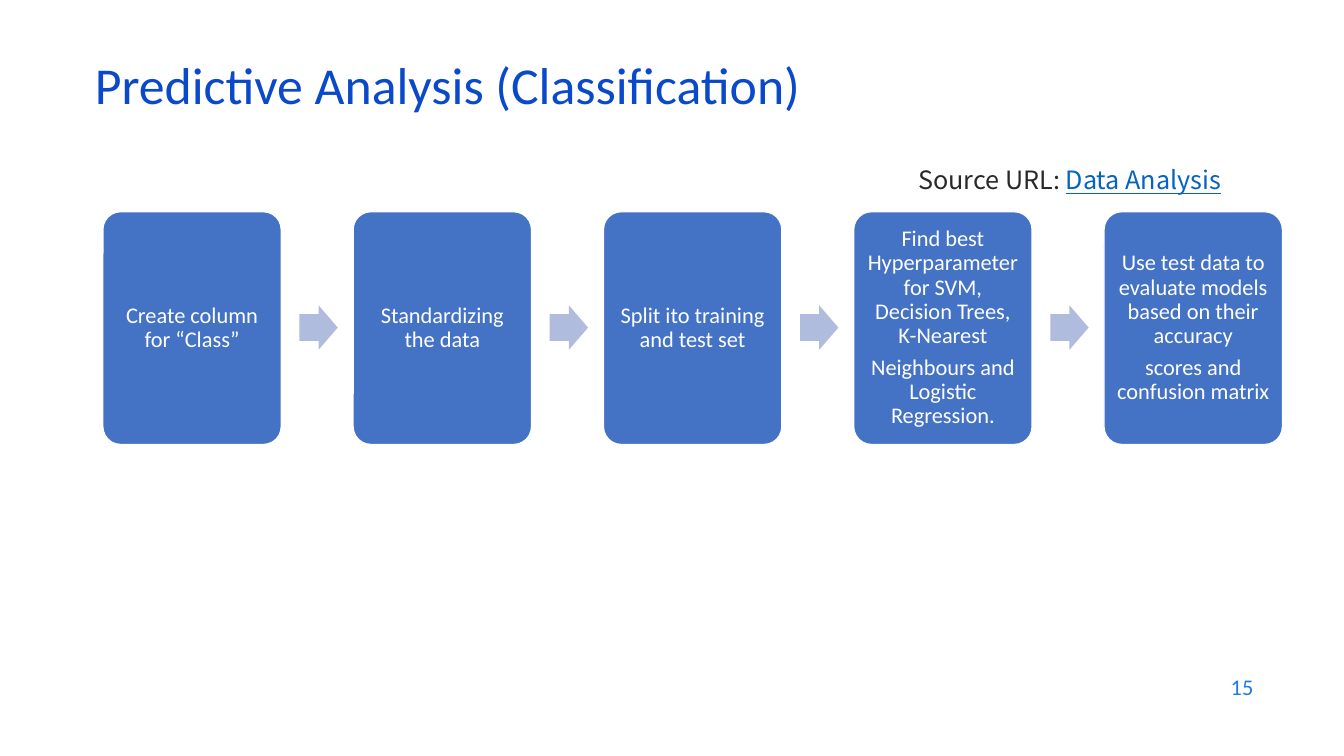
from pptx import Presentation
from pptx.dml.color import RGBColor
from pptx.enum import shapes, text
from pptx.util import Inches, Pt

STEPS = [
    ["Create column for “Class”"],
    ["Standardizing the data"],
    ["Split ito training and test set"],
    ["Find best Hyperparameter for SVM, Decision Trees, K-Nearest",
     "Neighbours and Logistic Regression."],
    ["Use test data to evaluate models based on their accuracy",
     "scores and confusion matrix"],
]
FIRST_LEFT, STEP_PITCH = 1.02, 2.4825


def color(hex_string):
    return RGBColor.from_string(hex_string)


def place(shape, left, top, width, height):
    shape.left, shape.top = Inches(left), Inches(top)
    shape.width, shape.height = Inches(width), Inches(height)


def style_font(font, size, hex_string, name="Calibri"):
    font.name, font.size = name, Pt(size)
    font.color.rgb = color(hex_string)


def add_title(slide, words):
    title = slide.shapes.title
    place(title, 0.84, 0.59, 11.5, 0.6)
    frame = title.text_frame
    frame.text = words
    frame.vertical_anchor = text.MSO_ANCHOR.MIDDLE
    frame.auto_size = text.MSO_AUTO_SIZE.NONE
    paragraph = frame.paragraphs[0]
    paragraph.alignment = text.PP_ALIGN.LEFT
    paragraph.line_spacing = 0.8
    style_font(paragraph.font, 37, "0B49CB")


def add_text_box(slide, left, top, width, height):
    box = slide.shapes.add_textbox(Inches(left), Inches(top),
                                   Inches(width), Inches(height))
    box.text_frame.word_wrap = True
    return box.text_frame


def add_block(slide, kind, bounds, fill, adjustments):
    shape = slide.shapes.add_shape(kind, *map(Inches, bounds))
    shape.shadow.inherit = False
    shape.fill.solid()
    shape.fill.fore_color.rgb = color(fill)
    shape.line.fill.background()
    for index, value in enumerate(adjustments):
        shape.adjustments[index] = value
    return shape


def add_step(slide, left, lines):
    card = add_block(slide, shapes.MSO_SHAPE.ROUNDED_RECTANGLE,
                     (left, 2.1, 1.77, 2.31), "4472C4", [0.1])
    card.line.color.rgb = color("FFFFFF")
    card.line.width = Pt(1)
    frame = card.text_frame
    frame.word_wrap = True
    frame.vertical_anchor = text.MSO_ANCHOR.MIDDLE
    frame.margin_left = frame.margin_right = Inches(0.07)
    frame.margin_top = frame.margin_bottom = Inches(0.07)
    frame.text = "\n".join(lines)
    for paragraph in frame.paragraphs:
        paragraph.alignment = text.PP_ALIGN.CENTER
        paragraph.line_spacing = 0.9
        paragraph.space_after = Pt(5.6)
        style_font(paragraph.font, 16, "FFFFFF")


def add_process(slide):
    for index, lines in enumerate(STEPS):
        left = FIRST_LEFT + index * STEP_PITCH
        add_step(slide, left, lines)
        if index < len(STEPS) - 1:
            add_block(slide, shapes.MSO_SHAPE.RIGHT_ARROW,
                      (left + 1.95, 3.03, 0.38, 0.44), "B0BCDE", [0.6, 0.5])


def add_source_line(slide):
    paragraph = add_text_box(slide, 9.01, 1.58, 3.3, 0.4).paragraphs[0]
    for words, hex_string in (("Source URL: ", "292929"),
                              ("Data Analysis", "0563C1")):
        run = paragraph.add_run()
        run.text = words
        style_font(run.font, 18, hex_string, "Noto Sans CJK TC")
    run.font.underline = True


def add_page_number(slide, number):
    frame = add_text_box(slide, 9.53, 6.59, 3, 0.44)
    frame.text = number
    frame.vertical_anchor = text.MSO_ANCHOR.MIDDLE
    paragraph = frame.paragraphs[0]
    paragraph.alignment = text.PP_ALIGN.RIGHT
    style_font(paragraph.font, 16, "1C7DDB")


def main():
    presentation = Presentation()
    presentation.slide_width = Inches(13.33)
    presentation.slide_height = Inches(7.5)
    # Title Only layout
    slide = presentation.slides.add_slide(presentation.slide_layouts[5])

    # Heading and page number
    add_title(slide, "Predictive Analysis (Classification)")
    add_page_number(slide, "15")

    # Process steps and where the code is kept
    add_process(slide)
    add_source_line(slide)

    presentation.save("out.pptx")


if __name__ == "__main__":
    main()
